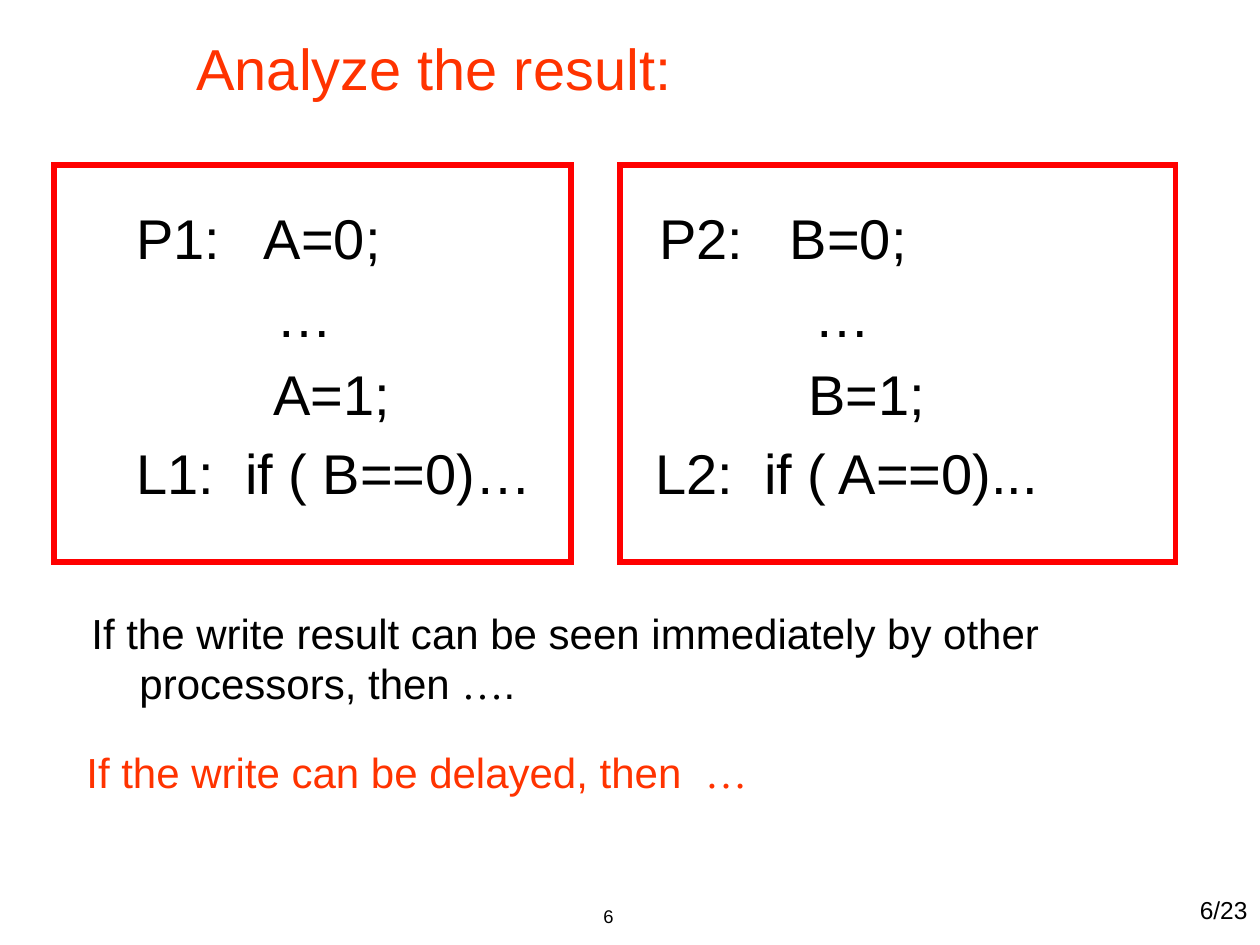
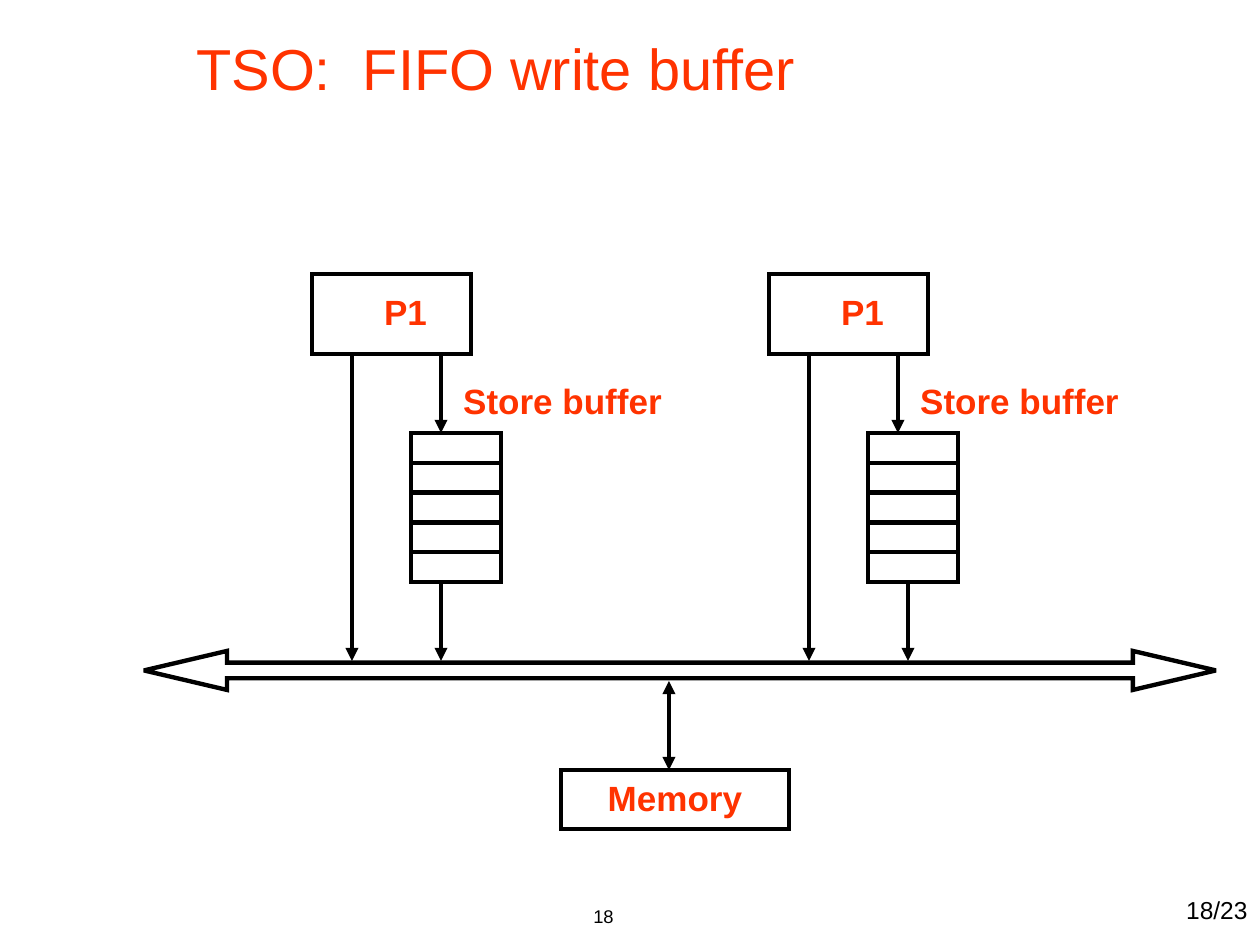
from pptx import Presentation
from pptx.dml.color import RGBColor
from pptx.enum.shapes import MSO_CONNECTOR as CONN, MSO_SHAPE as SHAPE
from pptx.enum.text import MSO_ANCHOR as ANCHOR, PP_ALIGN as ALIGN
from pptx.oxml.ns import qn
from pptx.util import Pt
from lxml.etree import SubElement

# Shared style
PX = 914400 / 126
BLACK, RED, ORANGE = "000000", "FF0000", "FF3300"
SANS, SERIF = "Arial", "Times New Roman"
TOTAL = 23
HANG = 48


def px(n):
    return round(n * PX)


def color(hex_code):
    return RGBColor.from_string(hex_code)


def indent(p, left, hang=0):
    pPr = p._p.get_or_add_pPr()
    pPr.set("marL", str(px(left)))
    pPr.set("indent", str(px(-hang)))


def text(shapes, box, lines, size, hex_code=BLACK, bold=False, align=ALIGN.LEFT,
         anchor=ANCHOR.TOP, wrap=True, before=0, left=0, hang=0):
    """Add a text box; each line is a string or a list of (text, font) runs."""
    tf = shapes.add_textbox(*map(px, box)).text_frame
    tf.word_wrap = wrap
    tf.vertical_anchor = anchor
    for i, line in enumerate(lines):
        p = tf.paragraphs[0] if i == 0 else tf.add_paragraph()
        p.alignment, p.space_before = align, Pt(before)
        p.font.size, p.font.bold = Pt(size), bold
        p.font.color.rgb = color(hex_code)
        indent(p, left, hang)
        for words, font in [(line, SANS)] if isinstance(line, str) else line:
            r = p.add_run()
            r.text, r.font.name = words, font
    return tf


def outline(shapes, box, hex_code=BLACK, width=2.5, kind=SHAPE.RECTANGLE):
    sp = shapes.add_shape(kind, *map(px, box))
    sp.shadow.inherit = False
    sp.fill.background()
    sp.line.color.rgb, sp.line.width = color(hex_code), Pt(width)
    SubElement(sp.line._get_or_add_ln(), qn("a:miter"), lim="800000")
    return sp


def line(shapes, x1, y1, x2, y2, head=False, tail=False):
    c = shapes.add_connector(CONN.STRAIGHT, *map(px, (x1, y1, x2, y2)))
    c.line.color.rgb, c.line.width = color(BLACK), Pt(2.5)
    ln = c.line._get_or_add_ln()
    for tag, shown in (("a:headEnd", head), ("a:tailEnd", tail)):
        if shown:
            SubElement(ln, qn(tag), type="triangle")
    SubElement(c._element.spPr, qn("a:effectLst"))


def new_slide(prs, title, number):
    s = prs.slides.add_slide(prs.slide_layouts[6])
    text(s.shapes, (364, 899, 262, 63), [str(number)], 10.5,
         align=ALIGN.RIGHT, before=5)
    text(s.shapes, (998, 889, 262, 55), [f"{number}/{TOTAL}"], 14,
         align=ALIGN.RIGHT, before=7)
    text(s.shapes, (184, 0, 1042, 135), [title], 33, ORANGE, anchor=ANCHOR.MIDDLE)
    return s


def code_panel(shapes, frame_x, frame_width, text_x, rows):
    """Code of one processor, each row with its own indent, in a red frame."""
    width = frame_x + frame_width - text_x
    tf = text(shapes, (text_x, 197, width, 330), [code for code, _ in rows],
              32, before=6.4)
    for p, (_, left) in zip(tf.paragraphs, rows):
        indent(p, left)
    outline(shapes, (frame_x, 165, frame_width, 397), RED, 3)


def result_slide(prs):
    shapes = new_slide(prs, "Analyze the result:", 6).shapes

    # Code of both processors
    code_panel(shapes, 54, 517, 124,
               [("P1:   A=0;", 0), ("…", 140), ("A=1;", 137),
                ("L1:  if ( B==0)…", 0)])
    code_panel(shapes, 620, 556, 643,
               [("P2:   B=0;", 4), ("…", 159), ("B=1;", 153),
                ("L2:  if ( A==0)...", 0)])

    # Conclusions
    text(shapes, (79, 601, 1181, 164),
         [[("If the write result can be seen immediately by other processors, then ", SANS),
           ("…", SERIF), (".", SANS)]], 24, before=6, left=HANG, hang=HANG)
    text(shapes, (74, 740, 1022, 63),
         [[("If the write can be delayed, then  ", SANS), ("…", SERIF)]],
         24, ORANGE, before=6, left=HANG, hang=HANG)


def label(shapes, box, words, left=0):
    text(shapes, box, [words], 20, ORANGE, bold=True, align=ALIGN.CENTER,
         wrap=False, before=5, left=left)


def processor(s, x):
    """Processor box, its direct path to the bus, and its store buffer."""
    shapes = s.shapes.add_group_shape().shapes
    outline(shapes, (x, 274, 159, 80))
    label(shapes, (x + 50, 284, 87, 54), "P1")
    line(shapes, x + 40, 354, x + 40, 661, tail=True)
    line(shapes, x + 129, 354, x + 129, 433, tail=True)
    label(shapes, (x + 134, 373, 233, 54), "Store buffer")

    left, top, width, height, slots = x + 99, 433, 90, 149, 5
    outline(shapes, (left, top, width, height))
    for i in range(1, slots):
        y = top + height * i / slots
        line(shapes, left, y, left + width, y)


def buffer_slide(prs):
    s = new_slide(prs, "TSO:  FIFO write buffer", 18)
    shapes = s.shapes

    # Bus
    bus = outline(shapes, (144, 651, 1072, 39), kind=SHAPE.LEFT_RIGHT_ARROW)
    bus.adjustments[0], bus.adjustments[1] = 0.4, 2.13

    # Processors and the drains of their buffers
    for x, drain in ((312, 441), (769, 908)):
        processor(s, x)
        line(shapes, drain, 582, drain, 661, tail=True)

    # Memory
    outline(shapes, (561, 770, 228, 59))
    label(shapes, (561, 770, 228, 59), "Memory")
    line(shapes, 669, 681, 669, 770, head=True, tail=True)


def main():
    prs = Presentation()
    prs.slide_width, prs.slide_height = px(1260), px(945)
    result_slide(prs)
    buffer_slide(prs)
    prs.save("out.pptx")


main()
